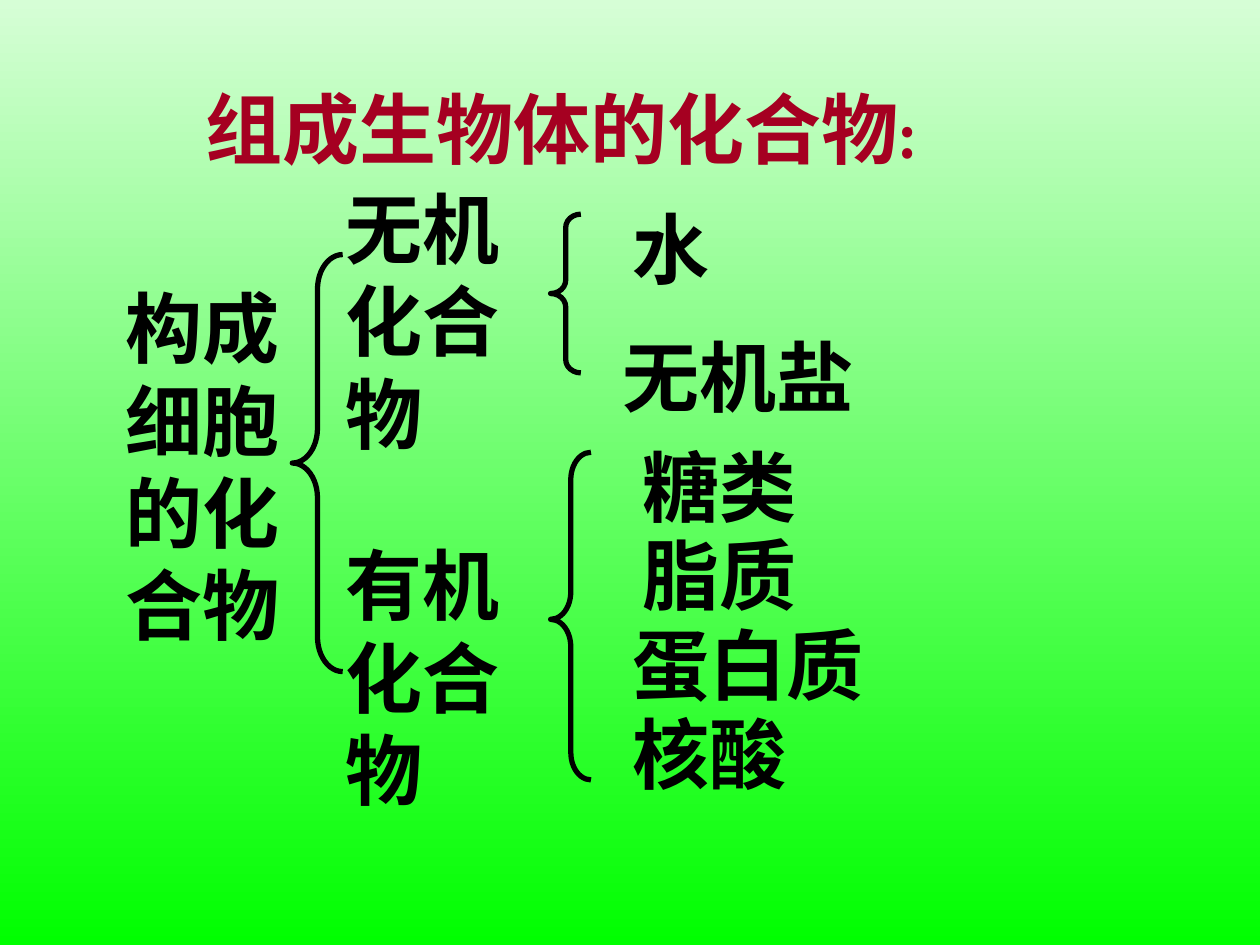
import pptx
import pptx.dml.color
import pptx.enum.shapes
import pptx.enum.text
import pptx.util

Inches = pptx.util.Inches
Pt = pptx.util.Pt
RGBColor = pptx.dml.color.RGBColor

PALE_GREEN = RGBColor(0xD6, 0xFE, 0xD6)
GREEN = RGBColor(0x00, 0xFF, 0x00)
BLACK = RGBColor(0x00, 0x00, 0x00)
CRIMSON = RGBColor(0xA5, 0x00, 0x21)

# Text, left, top, width, height
TERMS = [
    ("构成细胞的化合物", 0.9, 2.18, 1.58, 3.04),
    ("无机化合物", 2.64, 1.39, 1.89, 2.3),
    ("有机化合物", 2.64, 4.22, 1.5, 2.3),
    ("水", 4.92, 1.55, 1.02, 0.84),
    ("无机盐", 4.84, 2.57, 2.91, 0.84),
    ("糖类", 5, 3.44, 2.76, 0.84),
    ("脂质", 5, 4.14, 1.49, 0.84),
    ("蛋白质", 4.92, 4.85, 2.99, 0.84),
    ("核酸", 4.92, 5.56, 2.05, 0.84),
]

# Left, top, width, height, curl of the ends, place of the point
BRACES = [
    (2.32, 2.02, 0.4, 3.31, 0.69, 0.5),
    (4.37, 1.7, 0.24, 1.26, 0.44, 0.5),
    (4.37, 3.59, 0.32, 2.6, 0.68, 0.51),
]


def paint_background(page):
    fill = page.background.fill
    fill.gradient()
    fill.gradient_angle = 270
    for stop, color in zip(fill.gradient_stops, (PALE_GREEN, GREEN)):
        stop.color.rgb = color


def add_span(para, text, *, size=44, font="Arial", color=BLACK):
    span = para.add_run()
    span.text = text
    span.font.size = Pt(size)
    span.font.name = font
    span.font.bold = True
    span.font.color.rgb = color


def add_box(page, left, top, width, height, space=27.5):
    """Add a wrapping text box and return its paragraph."""
    box = page.shapes.add_textbox(
        Inches(left), Inches(top), Inches(width), Inches(height))
    box.text_frame.word_wrap = True
    box.text_frame.auto_size = pptx.enum.text.MSO_AUTO_SIZE.SHAPE_TO_FIT_TEXT
    para = box.text_frame.paragraphs[0]
    para.space_before = Pt(space)
    return para


def add_brace(page, left, top, width, height, curl, point):
    brace = page.shapes.add_shape(
        pptx.enum.shapes.MSO_SHAPE.LEFT_BRACE,
        Inches(left), Inches(top), Inches(width), Inches(height))
    brace.adjustments[0] = curl
    brace.adjustments[1] = point
    brace.shadow.inherit = False
    brace.fill.background()
    brace.line.color.rgb = BLACK
    brace.line.width = Pt(3)


def main():
    deck = pptx.Presentation()
    deck.slide_width = Inches(10)
    deck.slide_height = Inches(7.5)
    page = deck.slides.add_slide(deck.slide_layouts[6])
    paint_background(page)

    # Tree of compounds
    for text, *place in TERMS:
        add_span(add_box(page, *place), text)
    for brace in BRACES:
        add_brace(page, *brace)

    # Title with a smaller colon
    title = add_box(page, 1.53, 0.6, 6.85, 0.84, space=20)
    for text, size in (("组成生物体的化合物", 44), (":", 32)):
        add_span(title, text, size=size, font="Noto Sans CJK SC", color=CRIMSON)

    deck.save("out.pptx")


if __name__ == "__main__":
    main()
